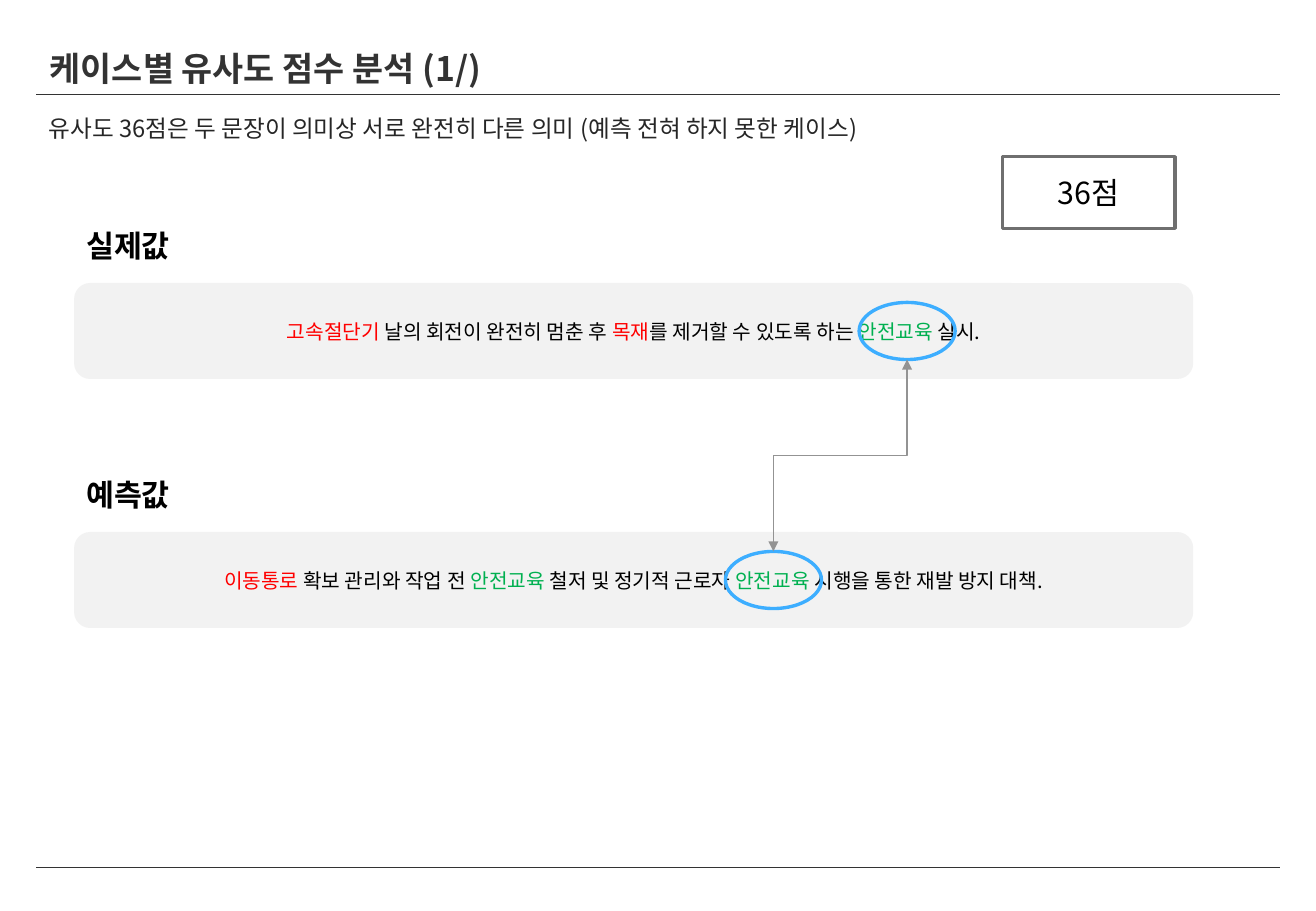
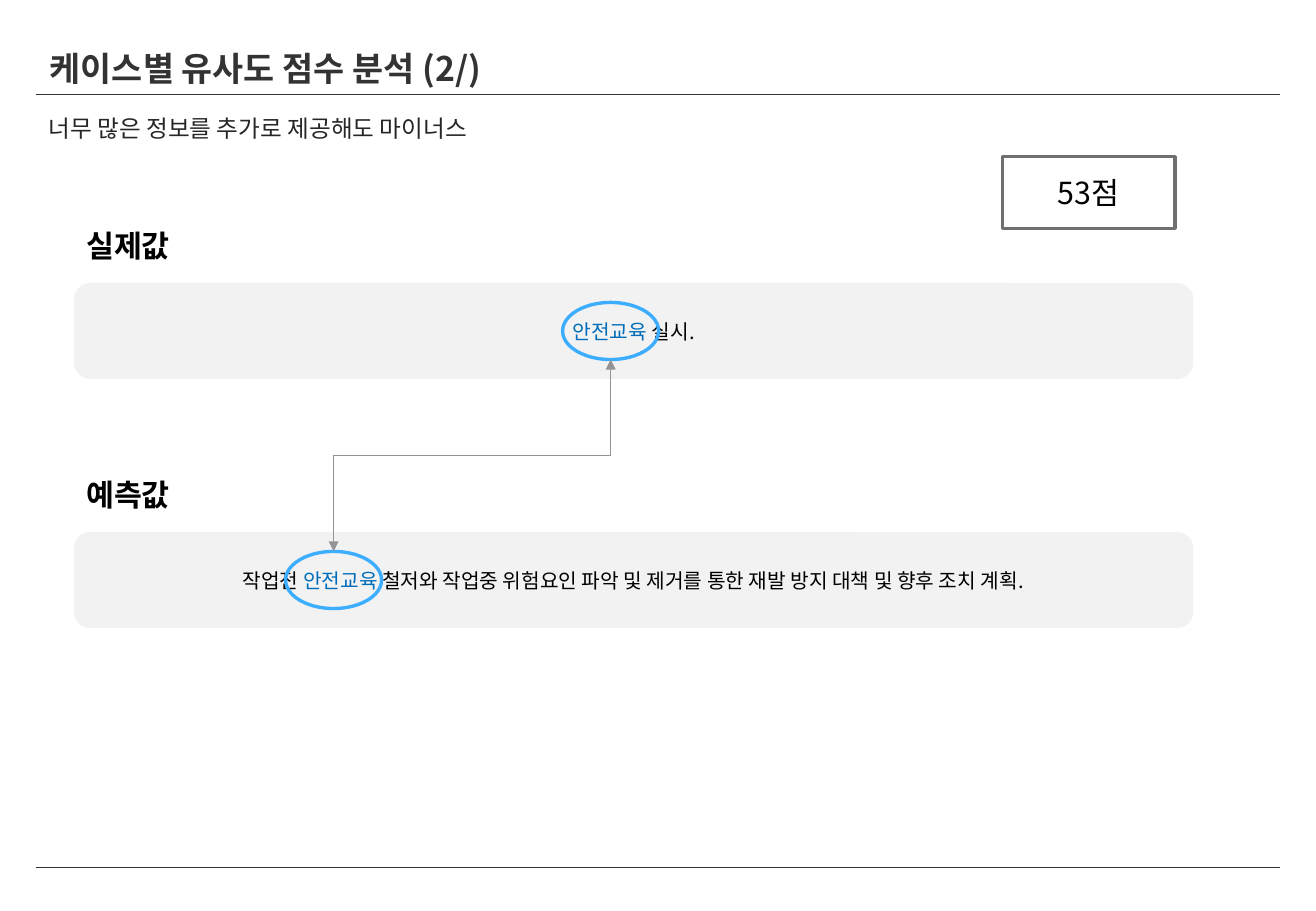
from lxml.etree import SubElement
from pptx import Presentation
from pptx.dml.color import RGBColor
from pptx.enum.shapes import MSO_CONNECTOR, MSO_SHAPE
from pptx.enum.text import MSO_ANCHOR, MSO_AUTO_SIZE, PP_ALIGN
from pptx.oxml.ns import qn
from pptx.util import Pt

PX = 9144
FONT = "Noto Sans CJK KR"
COLORS = {
    "title": "333333", "body": "262626", "text": "000000", "white": "FFFFFF",
    "panel": "F2F2F2", "frame": "6F6F6F", "ring": "3DAEFF", "arrow": "939393",
    "wrong": "FF0000", "match": "00B050", "shared": "006DBB",
}
PANEL_TOPS = {"실제값": 233, "예측값": 438}
CASES = [
    {
        "summary": "유사도 36점은 두 문장이 의미상 서로 완전히 다른 의미 (예측 전혀 하지 못한 케이스)",
        "score": 36,
        "실제값": [("고속절단기", "wrong"), (" 날의 회전이 완전히 멈춘 후 ", "text"),
                ("목재", "wrong"), ("를 제거할 수 있도록 하는 ", "text"),
                ("안전교육", "match"), (" 실시.", "text")],
        "예측값": [("이동통로", "wrong"), (" 확보 관리와 작업 전 ", "text"),
                ("안전교육", "match"), (" 철저 및 정기적 근로자 ", "text"),
                ("안전교육", "match"), (" 시행을 통한 재발 방지 대책.", "text")],
        "rings": {"실제값": 707, "예측값": 597},
    },
    {
        "summary": "너무 많은 정보를 추가로 제공해도 마이너스",
        "score": 53,
        "실제값": [("안전교육", "shared"), (" 실시.", "text")],
        "예측값": [("작업전 ", "text"), ("안전교육", "shared"),
                (" 철저와 작업중 위험요인 파악 및 제거를 통한 재발 방지 대책 및 향후 조치 계획.", "text")],
        "rings": {"실제값": 463, "예측값": 235},
    },
]


def px(*lengths):
    return [length * PX for length in lengths]


def rgb(name):
    return RGBColor.from_string(COLORS[name])


def add_span(para, text, size, color="text", bold=False):
    span = para.add_run()
    span.text = text
    span.font.size = Pt(size)
    span.font.bold = bold
    span.font.color.rgb = rgb(color)
    span.font.name = FONT
    SubElement(span.font._element, qn("a:ea"), typeface=FONT)


def style_line(connector, color, width):
    connector.line.color.rgb = rgb(color)
    connector.line.width = Pt(width)
    SubElement(connector.element.spPr, qn("a:effectLst"))


def add_shape(page, kind, left, top, width, height, fill=None, line=None):
    shape = page.shapes.add_shape(kind, *px(left, top, width, height))
    shape.shadow.inherit = False
    if fill:
        shape.fill.solid()
        shape.fill.fore_color.rgb = rgb(fill)
    else:
        shape.fill.background()
    if line:
        shape.line.color.rgb = rgb(line)
        shape.line.width = Pt(2)
    else:
        shape.line.fill.background()
    return shape


def write_centred(shape, spans, size):
    shape.text_frame.word_wrap = True
    shape.text_frame.vertical_anchor = MSO_ANCHOR.MIDDLE
    para = shape.text_frame.paragraphs[0]
    para.alignment = PP_ALIGN.CENTER
    for text, color in spans:
        add_span(para, text, size, color)


def add_heading(page, text, top):
    box = page.shapes.add_textbox(*px(61, top, 91, 40))
    box.text_frame.word_wrap = False
    box.text_frame.auto_size = MSO_AUTO_SIZE.SHAPE_TO_FIT_TEXT
    add_span(box.text_frame.paragraphs[0], text, 18, bold=True)


def add_double_arrow(page, lower, upper):
    start_x = lower.left + lower.width // 2
    end_x = upper.left + upper.width // 2
    start_y, end_y = lower.top, upper.top + upper.height
    middle_x, middle_y = (start_x + end_x) // 2, (start_y + end_y) // 2
    half_run, half_rise = (end_x - start_x) // 2, (start_y - end_y) // 2
    arrow = page.shapes.add_connector(
        MSO_CONNECTOR.ELBOW, middle_x + half_rise, middle_y + half_run,
        middle_x - half_rise, middle_y - half_run)
    arrow.element.spPr.find(qn("a:xfrm")).set("rot", "5400000")
    style_line(arrow, "arrow", 0.75)
    for end in ("a:headEnd", "a:tailEnd"):
        SubElement(arrow.get_or_add_ln(), qn(end), type="triangle")
    joints = arrow.element.find(qn("p:nvCxnSpPr")).find(qn("p:cNvCxnSpPr"))
    for tag, ring, site in (("a:stCxn", lower, 0), ("a:endCxn", upper, 4)):
        SubElement(joints, qn(tag), id=str(ring.shape_id), idx=str(site))


def place(holder, left, top, width, height, anchor):
    holder.left, holder.top, holder.width, holder.height = px(left, top, width, height)
    holder.text_frame.auto_size = MSO_AUTO_SIZE.NONE
    holder.text_frame.vertical_anchor = anchor


def prepare_layout(deck, layout):
    place(layout.placeholders[0], 31, 41, 667, 30, MSO_ANCHOR.MIDDLE)
    place(layout.placeholders[1], 30, 84, 1024, 94, MSO_ANCHOR.TOP)
    page = deck.slides.add_slide(layout)
    for y in (714, 78):
        rule = page.shapes.add_connector(MSO_CONNECTOR.STRAIGHT, *px(30, y, 1053, y))
        style_line(rule, "title", 0.5)
        rule.element.nvCxnSpPr.cNvPr.set("id", str(100 + y))
        layout.element.cSld.spTree.append(rule.element)
    return page


def fill_placeholders(page, number, summary):
    title = page.shapes.title.text_frame.paragraphs[0]
    title.alignment = PP_ALIGN.LEFT
    add_span(title, f"케이스별 유사도 점수 분석 ({number}/)", 20, "title", bold=True)
    body = page.placeholders[1].text_frame.paragraphs[0]
    properties = body._p.get_or_add_pPr()
    properties.set("marL", "0")
    properties.set("indent", "0")
    SubElement(properties, qn("a:buNone"))
    body.line_spacing = 1.2
    body.space_before = Pt(0)
    add_span(body, summary, 14, "body")


def fill_page(page, number, case):
    fill_placeholders(page, number, case["summary"])
    for name, top in PANEL_TOPS.items():
        panel = add_shape(page, MSO_SHAPE.ROUNDED_RECTANGLE, 61, top, 921, 79, fill="panel")
        write_centred(panel, case[name], 12)
        add_heading(page, name, top - 51)
    rings = {
        name: add_shape(page, MSO_SHAPE.OVAL, left, PANEL_TOPS[name] + 16, 79, 47, line="ring")
        for name, left in case["rings"].items()
    }
    add_double_arrow(page, rings["예측값"], rings["실제값"])
    score = add_shape(page, MSO_SHAPE.RECTANGLE, 825, 129, 142, 59, fill="white", line="frame")
    write_centred(score, [(f"{case['score']}점", "text")], 18)


def main():
    deck = Presentation()
    deck.slide_width, deck.slide_height = px(1083, 750)
    layout = deck.slide_layouts[1]
    first = prepare_layout(deck, layout)
    pages = [first] + [deck.slides.add_slide(layout) for _ in CASES[1:]]
    for number, (page, case) in enumerate(zip(pages, CASES), 1):
        fill_page(page, number, case)
    deck.save("out.pptx")


if __name__ == "__main__":
    main()
